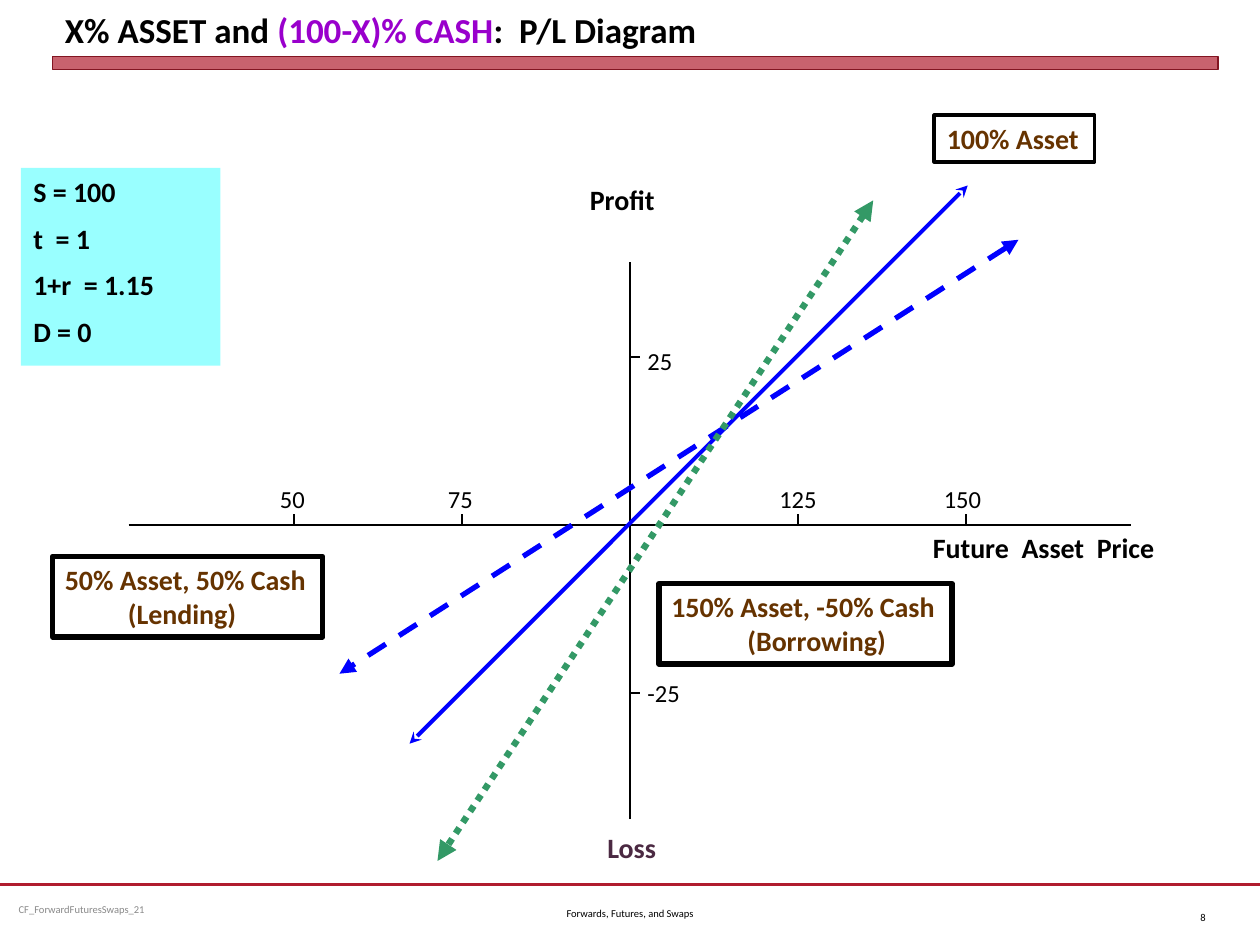
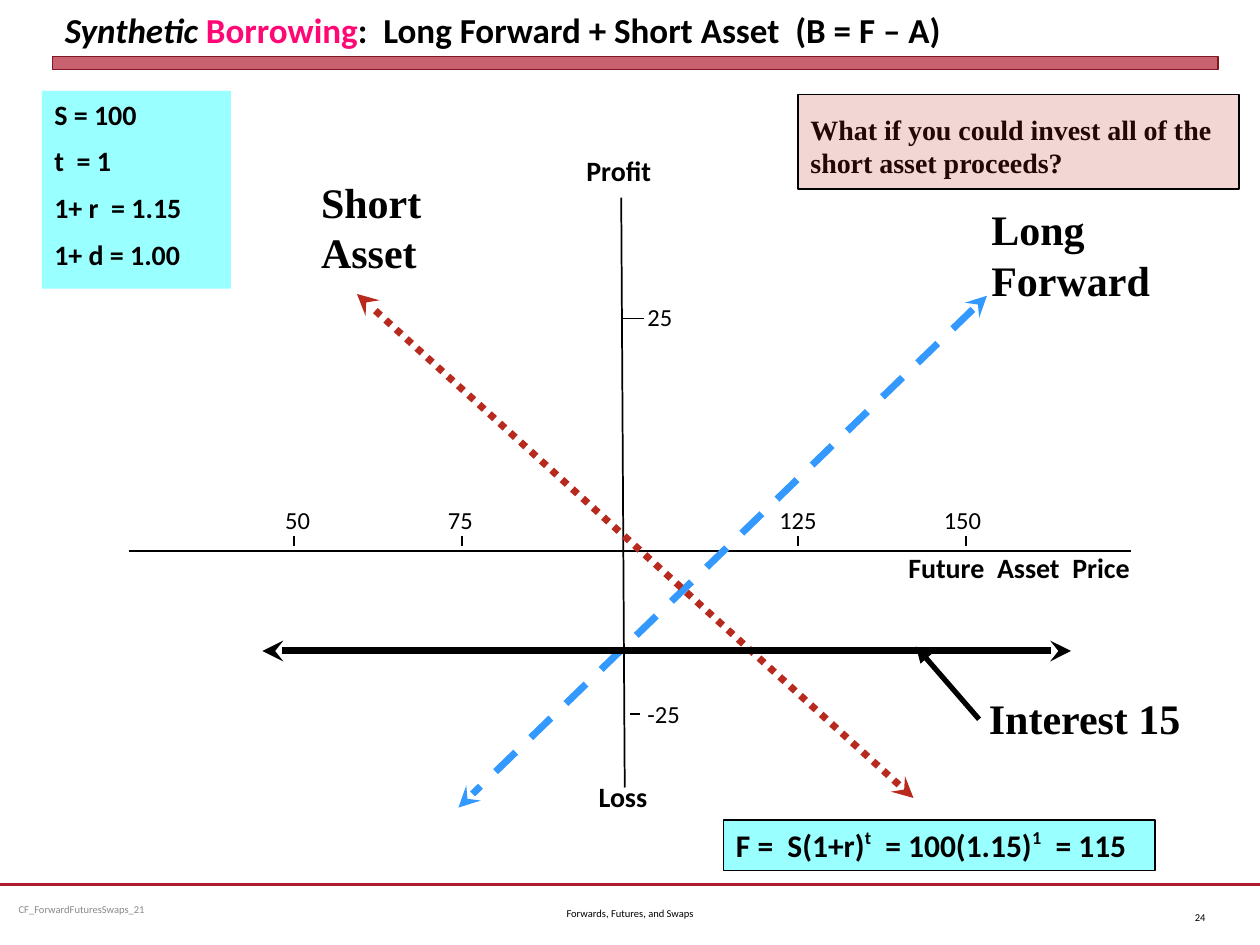
"""Two slides of profit and loss diagrams for asset, cash and forward positions."""
from lxml import etree
from pptx import Presentation
from pptx.dml.color import RGBColor
from pptx.enum.dml import MSO_LINE
from pptx.enum.shapes import MSO_CONNECTOR, MSO_SHAPE
from pptx.enum.text import MSO_ANCHOR, PP_ALIGN
from pptx.oxml.ns import qn
from pptx.util import Pt

STRAIGHT, RECT = MSO_CONNECTOR.STRAIGHT, MSO_SHAPE.RECTANGLE
DASH, DOT = MSO_LINE.DASH, MSO_LINE.ROUND_DOT
TOP, MIDDLE, BOTTOM = MSO_ANCHOR.TOP, MSO_ANCHOR.MIDDLE, MSO_ANCHOR.BOTTOM
LEFT, CENTER, RIGHT = PP_ALIGN.LEFT, PP_ALIGN.CENTER, PP_ALIGN.RIGHT

BLACK = RGBColor(0x00, 0x00, 0x00)
GREY = RGBColor(0x89, 0x89, 0x89)
CRIMSON = RGBColor(0xB0, 0x1C, 0x2E)
DARK_CRIMSON = RGBColor(0x82, 0x15, 0x22)
VIOLET = RGBColor(0x99, 0x00, 0xCC)
PINK = RGBColor(0xFF, 0x08, 0x76)
AQUA = RGBColor(0x99, 0xFF, 0xFF)
BROWN = RGBColor(0x66, 0x33, 0x00)
PLUM = RGBColor(0x4B, 0x29, 0x42)
BLUE = RGBColor(0x00, 0x00, 0xFF)
SKY = RGBColor(0x33, 0x99, 0xFF)
GREEN = RGBColor(0x33, 0x99, 0x66)
RED = RGBColor(0xB8, 0x2A, 0x1E)

SANS, SERIF = "Calibri", "Times New Roman"
TICK_STEP = 96


def style_paragraph(paragraph, size, color, bold, font, align):
    """Set alignment and the font shared by all runs of a paragraph."""
    paragraph.alignment = align
    paragraph.font.size = Pt(size)
    paragraph.font.name = font
    paragraph.font.bold = bold
    paragraph.font.color.rgb = color


def write(frame, lines, size, color=BLACK, bold=False, font=SANS, align=LEFT,
          anchor=TOP, gap=0, indent=0):
    """Fill a text frame with lines, indenting those after the first."""
    frame.word_wrap = True
    frame.vertical_anchor = anchor
    frame.margin_left = frame.margin_right = Pt(7.2)
    frame.margin_top = frame.margin_bottom = Pt(3.6)
    for index, line in enumerate(lines):
        paragraph = frame.add_paragraph() if index else frame.paragraphs[0]
        if index:
            paragraph.space_before = Pt(gap)
            if indent:
                paragraph._p.get_or_add_pPr().set("marL", str(Pt(indent)))
        paragraph.add_run().text = line
        style_paragraph(paragraph, size, color, bold, font, align)


def add_text(slide, box, lines, size, **style):
    """Add a text box holding the given lines."""
    label = slide.shapes.add_textbox(*map(Pt, box))
    write(label.text_frame, lines, size, **style)
    return label


def add_panel(slide, box, fill=None, outline=None, width=0.75, alpha=None):
    """Add a flat rectangle with optional fill, outline and opacity."""
    panel = slide.shapes.add_shape(RECT, *map(Pt, box))
    panel.shadow.inherit = False
    if fill is None:
        panel.fill.background()
    else:
        panel.fill.solid()
        panel.fill.fore_color.rgb = fill
        if alpha:
            color = panel._element.spPr.find(qn("a:solidFill"))[0]
            etree.SubElement(color, qn("a:alpha"), val=str(alpha * 1000))
    if outline is None:
        panel.line.fill.background()
    else:
        panel.line.color.rgb = outline
        panel.line.width = Pt(width)
    return panel


def add_line(slide, origin, start, end, color=BLACK, width=1, dash=None,
             head=None, tail=None):
    """Draw a line between two offsets from an origin."""
    x, y = origin
    ends = (x + start[0], y + start[1], x + end[0], y + end[1])
    line = slide.shapes.add_connector(STRAIGHT, *map(Pt, ends))
    line.line.color.rgb = color
    line.line.width = Pt(width)
    if dash is not None:
        line.line.dash_style = dash
    for tag, arrow in (("a:headEnd", head), ("a:tailEnd", tail)):
        if arrow:
            etree.SubElement(line.line._get_or_add_ln(), qn(tag), type=arrow)
    etree.SubElement(line._element.spPr, qn("a:effectLst"))


def add_payoff(slide, origin, start, end, color, width, arrow, dash=None):
    """Draw a payoff line with the same arrowhead at both ends."""
    add_line(slide, origin, start, end, color, width, dash, arrow, arrow)


def add_heading(slide, box, parts):
    """Add the title from (text, colour, italic) parts and the bar below it."""
    x, y, w, h = box
    title = add_text(slide, box, [""], 20, bold=True, anchor=BOTTOM)
    paragraph = title.text_frame.paragraphs[0]
    paragraph.runs[0].text = parts[0][0]
    for text, _, _ in parts[1:]:
        paragraph.add_run().text = text
    for run, (_, color, italic) in zip(paragraph.runs, parts):
        run.font.color.rgb = color
        run.font.italic = italic
    add_panel(slide, (x, y + h, w, 7.2), CRIMSON, DARK_CRIMSON, 0, alpha=69)


def add_footer(slide, box, number):
    """Add the rule, file name, deck title and slide number."""
    x, y, w, _ = box
    add_line(slide, (x, y), (0, 0), (w, 0), CRIMSON, 1.25)
    add_text(slide, (x + 3.6, y, 186, 28.8), ["CF_ForwardFuturesSwaps_21"], 6,
             color=GREY, anchor=MIDDLE)
    add_text(slide, (x + 246, y + 2.2, 228, 28.8),
             ["Forwards, Futures, and Swaps"], 6, align=CENTER, anchor=MIDDLE)
    add_text(slide, (x + 660, y + 4.3, 36, 28.8), [str(number)], 6,
             align=RIGHT, anchor=MIDDLE)


def add_assumptions(slide, box, lines):
    """Add the aqua panel that lists the assumptions."""
    panel = add_panel(slide, box, AQUA)
    write(panel.text_frame, lines, 16, bold=True, gap=7.6)


def add_position(slide, box, lines, width, indent=0):
    """Add an outlined label naming a position."""
    label = add_panel(slide, box, outline=BLACK, width=width)
    write(label.text_frame, lines, 16, color=BROWN, bold=True, indent=indent)


def add_axes(slide, box, top, bottom, tick_base, price_nudges, profit_ticks,
             names, loss_color=BLACK):
    """Draw both axes about the centre of the box and return that origin."""
    x, y, w, h = box
    origin = ox, oy = x + w / 2, y + h / 2
    add_line(slide, origin, (-w / 2, 0), (w / 2, 0))
    add_line(slide, origin, bottom, top)
    for price, nudge in price_nudges.items():
        dx = TICK_STEP * (price - 100) / 25
        add_line(slide, origin, (dx, tick_base), (dx, tick_base - 6))
        add_text(slide, (ox + dx + nudge - 30, oy + tick_base - 27, 60, 24.5),
                 [str(price)], 14, align=CENTER)
    for profit, (start, end, dy, rise) in profit_ticks.items():
        add_line(slide, origin, (start, dy), (end, dy))
        add_text(slide, (ox + 2.9, oy + dy - rise, 48, 24.5), [str(profit)], 14)
    for name, (dx, dy) in names.items():
        add_text(slide, (ox + dx, oy + dy, 186 if " " in name else 60, 26.6),
                 [name], 16, bold=True,
                 color=loss_color if name == "Loss" else BLACK)
    return origin


def add_question(slide, box, question):
    """Add a question under a translucent red panel."""
    x, y, w, h = box
    add_text(slide, (x, y + 6.5, w + 12, h - 8), [question], 16, bold=True,
             font=SERIF)
    add_panel(slide, box, RED, BLACK, alpha=19)


def add_formula(slide, box, parts):
    """Add the forward price formula from (text, is superscript) parts."""
    panel = add_panel(slide, box, AQUA, BLACK)
    write(panel.text_frame, [parts[0][0]], 18, bold=True)
    paragraph = panel.text_frame.paragraphs[0]
    for text, raised in parts[1:]:
        run = paragraph.add_run()
        run.text = text
        if raised:
            run.font._element.set("baseline", "40000")


def start_slide(deck, title, number):
    """Add a blank slide with heading and footer."""
    slide = deck.slides.add_slide(deck.slide_layouts[6])
    add_heading(slide, (30, 3.6, 666, 28.8), title)
    add_footer(slide, (0, 505.5, 720, 34.5), number)
    return slide


def build_mix_slide(deck):
    """Build the slide on mixes of asset and cash."""
    slide = start_slide(deck, [("X% ASSET and ", BLACK, False),
                               ("(100-X)% CASH", VIOLET, False),
                               (":  P/L Diagram", BLACK, False)], 8)
    add_assumptions(slide, (12, 96, 114, 113),
                    ["S = 100", "t  = 1", "1+r  = 1.15", "D = 0"])
    origin = add_axes(
        slide, (73.5, 108, 573, 384), (0, -150), (0, 168), 0,
        {50: -1, 75: -1, 125: 0, 150: -2},
        {25: (0, 6, -TICK_STEP, 10), -25: (0, 6, TICK_STEP, 12)},
        {"Future  Asset  Price": (166, -0.5), "Loss": (-20, 171),
         "Profit": (-30, -199)}, PLUM)
    add_payoff(slide, origin, (222, -163), (-166, 85), BLUE, 3, "triangle", DASH)
    add_payoff(slide, origin, (193, -194), (-126, 125), BLUE, 2.25, "stealth")
    add_payoff(slide, origin, (139, -185.5), (-110, 192), GREEN, 3.75,
               "triangle", DOT)
    add_position(slide, (30, 318, 154.5, 46),
                 ["50% Asset, 50% Cash", "(Lending)"], 3, 36)
    add_position(slide, (534, 66, 91.5, 26.6), ["100% Asset"], 2.25)
    add_position(slide, (376.5, 333.5, 167.5, 46),
                 ["150% Asset, -50% Cash", "(Borrowing)"], 3, 43.5)


def build_borrowing_slide(deck):
    """Build the slide on synthetic borrowing."""
    slide = start_slide(deck, [
        ("Synthetic ", BLACK, True), ("Borrowing", PINK, False),
        (":  Long Forward + Short Asset  (B = F – A)", BLACK, False)], 24)
    origin = add_axes(
        slide, (73.5, 123, 573, 384), (-5, -202), (-3, 135), -3,
        {50: 2, 75: -1, 125: 0, 150: -2},
        {25: (-4, 8, -133, 13), -25: (0, 6, 93, 12)},
        {"Future  Asset  Price": (152, -4), "Loss": (-25, 127),
         "Profit": (-32, -231)})
    add_payoff(slide, origin, (204, -146), (-98, 146.5), SKY, 4, "stealth", DASH)
    add_payoff(slide, origin, (162, 141), (-156, -147), RED, 4, "stealth", DOT)
    add_payoff(slide, origin, (252, 57), (-210, 57), BLACK, 4, "stealth")
    for box, lines in (((559.4, 113, 110, 65), ["Long", "Forward"]),
                       ((176.4, 97.2, 80, 65), ["Short", "Asset"]),
                       ((558, 392.4, 130, 36), ["Interest 15"])):
        add_text(slide, box, lines, 24, bold=True, font=SERIF)
    add_line(slide, origin, (199.5, 96), (163.5, 54.5), BLACK, 3,
             tail="triangle")
    add_question(slide, (456, 54, 252, 54),
                 "What if you could invest all of the short asset proceeds?")
    add_assumptions(slide, (24, 52, 108, 113),
                    ["S = 100", "t  = 1", "1+ r  = 1.15", "1+ d = 1.00"])
    add_formula(slide, (413.5, 468.5, 246.5, 29),
                [("F =  S(1+r)", False), ("t", True), ("  = 100(1.15)", False),
                 ("1", True), ("  = 115", False)])


def main():
    """Build and save the deck."""
    deck = Presentation()
    deck.slide_width, deck.slide_height = Pt(720), Pt(540)
    build_mix_slide(deck)
    build_borrowing_slide(deck)
    deck.save("out.pptx")


if __name__ == "__main__":
    main()
